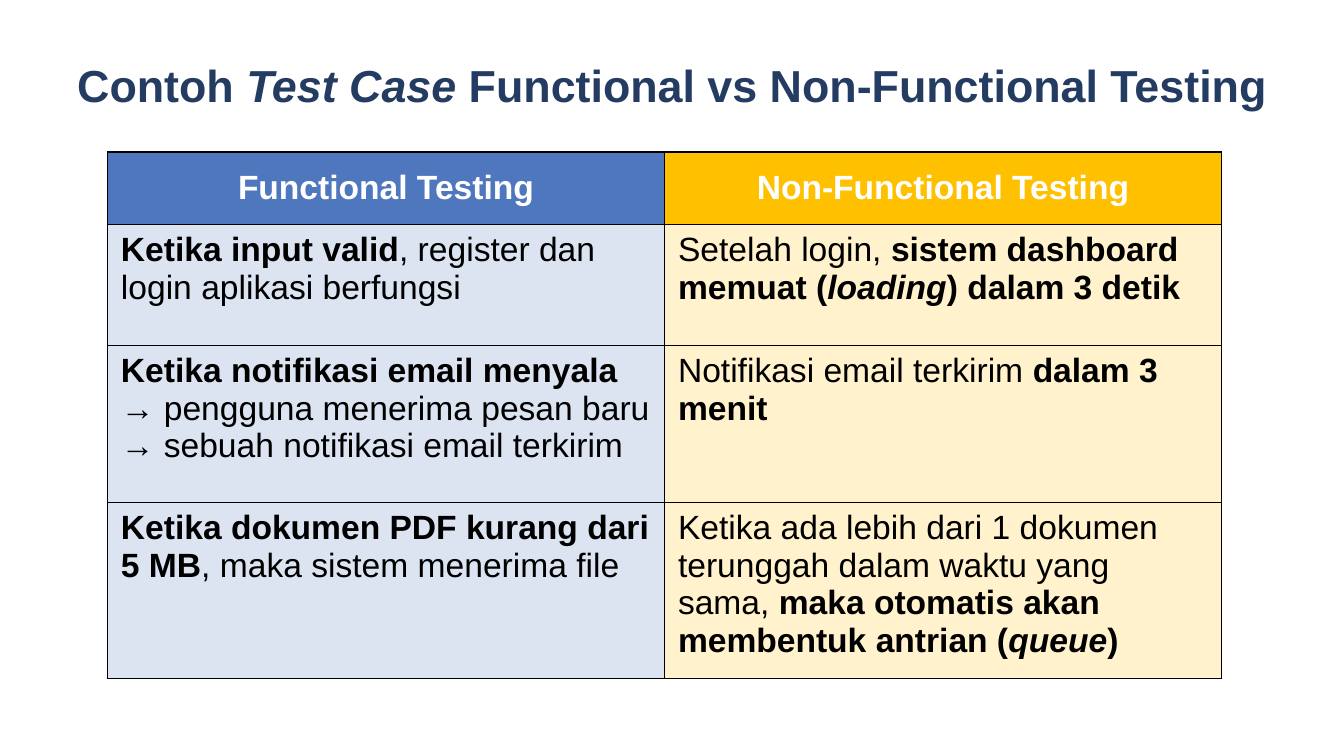
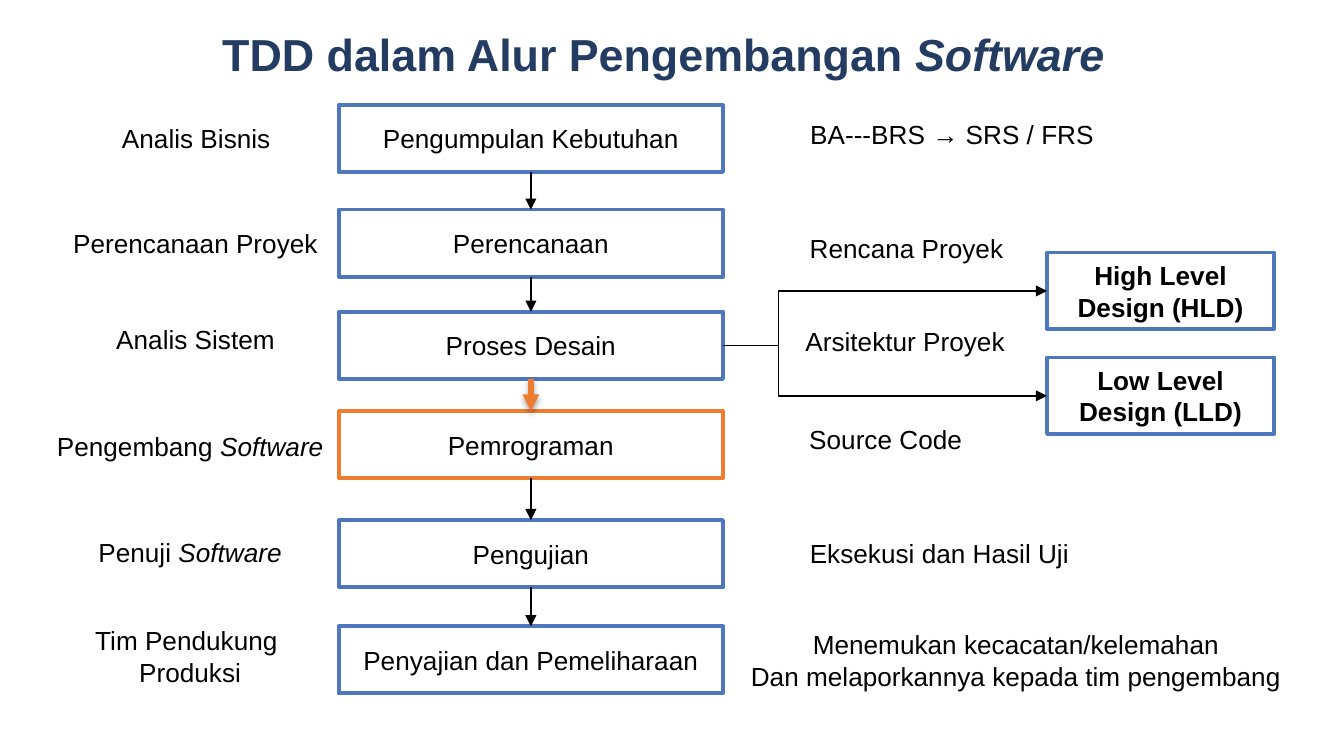
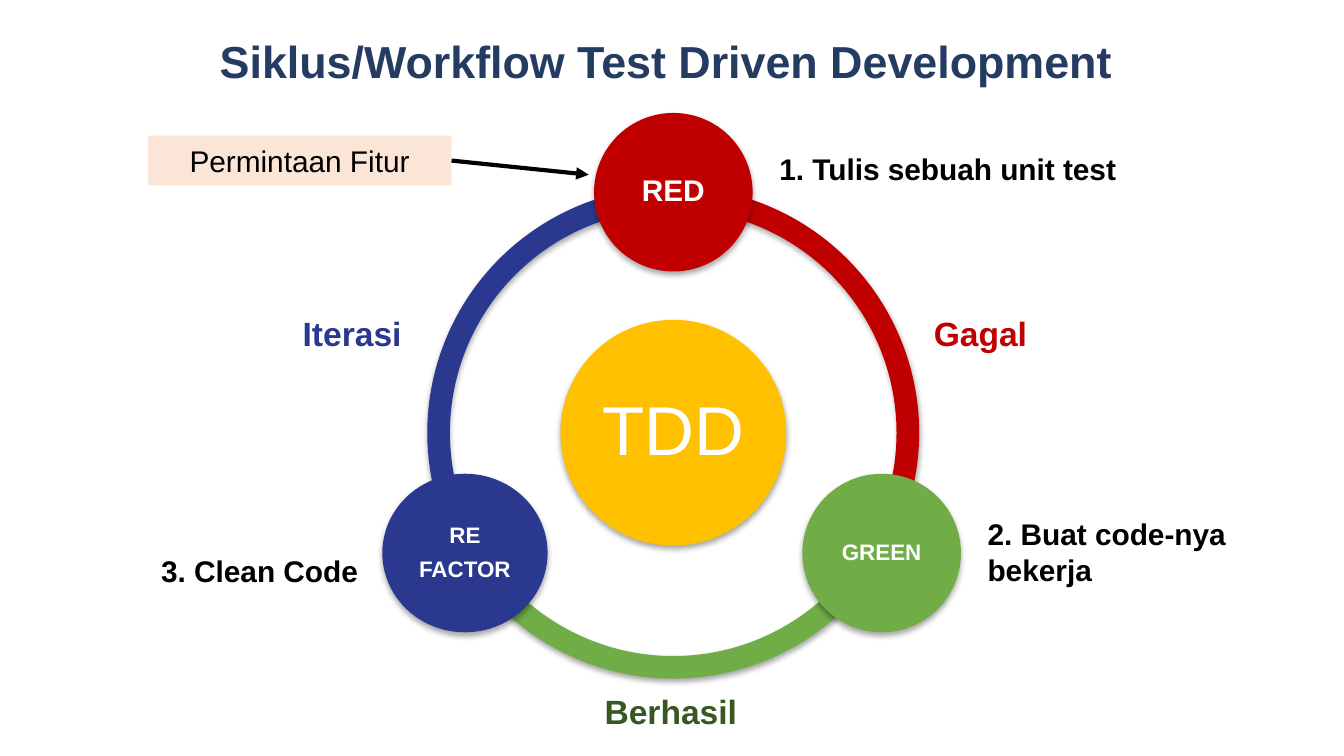
from dataclasses import dataclass
from math import cos, radians, sin

from lxml.etree import SubElement
from pptx import Presentation
from pptx.dml.color import RGBColor
from pptx.enum.shapes import MSO_CONNECTOR, MSO_SHAPE
from pptx.enum.text import MSO_ANCHOR, MSO_AUTO_SIZE, PP_ALIGN
from pptx.oxml.ns import qn
from pptx.util import Pt

EMU_PER_PX = 9144  # 100 px to the inch


@dataclass(frozen=True)
class Theme:
    font: str = "Arial"
    title: str = "243B62"
    black: str = "000000"
    white: str = "FFFFFF"
    blue: str = "4F77BE"
    pale_blue: str = "DCE4F2"
    yellow: str = "FFC000"
    pale_yellow: str = "FFF2CC"
    orange: str = "ED7D31"
    pale_orange: str = "FBE5D6"
    red: str = "C00000"
    green: str = "70AD47"
    dark_green: str = "385723"
    indigo: str = "2B388F"
    title_size: int = 24
    table_size: int = 18
    flow_size: int = 14
    note_size: int = 16
    phase_size: int = 18
    node_size: int = 12
    hub_size: int = 37


THEME = Theme()


@dataclass(frozen=True)
class Box:
    left: int
    top: int
    width: int
    height: int

    def inner(self, left, top, width, height):
        return Box(self.left + left, self.top + top, width, height)

    def emu(self):
        return [px(n) for n in (self.left, self.top, self.width, self.height)]


def px(length):
    return round(length * EMU_PER_PX)


def rgb(color):
    return RGBColor.from_string(color)


# Shared text, shape and line helpers

def write(frame, paragraphs, size, color=THEME.black, bold=False,
          align=PP_ALIGN.CENTER):
    """Fill a frame; a paragraph is a string or a list of (text, "b"/"i"/"bi")."""
    for index, content in enumerate(paragraphs):
        paragraph = frame.add_paragraph() if index else frame.paragraphs[0]
        paragraph.alignment = align
        paragraph.font.name = THEME.font
        paragraph.font.size = Pt(size)
        paragraph.font.bold = bold
        paragraph.font.color.rgb = rgb(color)
        segments = [(content, "")] if isinstance(content, str) else content
        for text, style in segments:
            run = paragraph.add_run()
            run.text = text
            if "b" in style:
                run.font.bold = True
            if "i" in style:
                run.font.italic = True


def add_text(slide, box, paragraphs, size, wrap=False, **style):
    frame = slide.shapes.add_textbox(*box.emu()).text_frame
    frame.word_wrap = wrap
    frame.auto_size = MSO_AUTO_SIZE.SHAPE_TO_FIT_TEXT
    write(frame, paragraphs, size, **style)


def add_title(slide, box, content):
    add_text(slide, box, [content], THEME.title_size, wrap=True,
             color=THEME.title, bold=True)


def add_soft_shadow(properties):
    effects = properties.find(qn("a:effectLst"))
    shadow = SubElement(effects, qn("a:outerShdw"), blurRad="40000",
                        dist="23000", dir="5400000", rotWithShape="0")
    color = SubElement(shadow, qn("a:srgbClr"), val=THEME.black)
    SubElement(color, qn("a:alpha"), val="35000")


def add_filled(shapes, kind, box, fill, line=None, shadow=False):
    shape = shapes.add_shape(kind, *box.emu())
    shape.shadow.inherit = False
    shape.fill.solid()
    shape.fill.fore_color.rgb = rgb(fill)
    if line:
        shape.line.color.rgb = rgb(line)
        shape.line.width = Pt(2)
    else:
        shape.line.fill.background()
    if shadow:
        add_soft_shadow(shape._element.spPr)
    shape.text_frame.word_wrap = True
    shape.text_frame.vertical_anchor = MSO_ANCHOR.MIDDLE
    return shape


def add_arrow(slide, start, start_side, end, end_side=None,
              kind=MSO_CONNECTOR.STRAIGHT, color=THEME.black, width=0.75,
              shadow=False):
    """Join a shape's side to another shape's side, or to a point in px."""
    target = (0, 0) if end_side is not None else [px(n) for n in end]
    arrow = slide.shapes.add_connector(kind, 0, 0, *target)
    arrow.begin_connect(start, start_side)
    if end_side is not None:
        arrow.end_connect(end, end_side)
    arrow.line.color.rgb = rgb(color)
    arrow.line.width = Pt(width)
    properties = arrow._element.spPr
    SubElement(properties.find(qn("a:ln")), qn("a:tailEnd"), type="triangle")
    SubElement(properties, qn("a:effectLst"))
    if shadow:
        add_soft_shadow(properties)
    return arrow


# Slide 1: comparison table

def set_borders(cell):
    properties = cell._tc.get_or_add_tcPr()
    for index, side in enumerate(("lnL", "lnR", "lnT", "lnB")):
        border = SubElement(properties, qn(f"a:{side}"), w="12700")
        fill = SubElement(border, qn("a:solidFill"))
        SubElement(fill, qn("a:srgbClr"), val=THEME.black)
        properties.insert(index, border)


def add_comparison(slide, box, headers, rows, row_heights):
    table = slide.shapes.add_table(len(rows) + 1, 2, *box.emu()).table
    table.horz_banding = False
    for row, height in zip(table.rows, row_heights):
        row.height = px(height)
    header_fills = (THEME.blue, THEME.yellow)
    body_fills = (THEME.pale_blue, THEME.pale_yellow)
    for row_index, contents in enumerate([headers, *rows]):
        is_header = row_index == 0
        for column, paragraphs in enumerate(contents):
            cell = table.cell(row_index, column)
            cell.fill.solid()
            fills = header_fills if is_header else body_fills
            cell.fill.fore_color.rgb = rgb(fills[column])
            set_borders(cell)
            if is_header:
                cell.vertical_anchor = MSO_ANCHOR.MIDDLE
                write(cell.text_frame, paragraphs, THEME.table_size,
                      color=THEME.white, bold=True)
            else:
                write(cell.text_frame, paragraphs, THEME.table_size,
                      align=PP_ALIGN.LEFT)


def build_test_cases(slide):
    add_title(slide, Box(46, 38, 908, 50), [
        ("Contoh ", ""), ("Test Case", "i"),
        (" Functional vs Non-Functional Testing", "")])
    headers = (["Functional Testing"], ["Non-Functional Testing"])
    rows = [
        ([[("Ketika input valid", "b"),
           (", register dan login aplikasi berfungsi", "")]],
         [[("Setelah login, ", ""), ("sistem dashboard memuat (", "b"),
           ("loading", "bi"), (") dalam 3 detik", "b")]]),
        ([[("Ketika notifikasi email menyala", "b")],
          "→ pengguna menerima pesan baru → sebuah notifikasi email terkirim"],
         [[("Notifikasi email terkirim ", ""), ("dalam 3 menit", "b")]]),
        ([[("Ketika dokumen PDF kurang dari 5 MB", "b"),
           (", maka sistem menerima file", "")]],
         [[("Ketika ada lebih dari 1 dokumen terunggah dalam waktu yang sama, ", ""),
           ("maka otomatis akan membentuk antrian (", "b"),
           ("queue", "bi"), (")", "b")]]),
    ]
    add_comparison(slide, Box(80, 113, 829, 392), headers, rows,
                   (54, 90, 117, 131))


# Slide 2: development flow

def add_flow_box(slide, box, text, line=THEME.blue, bold=False):
    shape = add_filled(slide.shapes, MSO_SHAPE.RECTANGLE, box, THEME.white, line)
    write(shape.text_frame, [text], THEME.flow_size, bold=bold)
    return shape


def add_steps(slide, box, steps, highlight):
    """Stack the steps, join them with arrows and return them by name."""
    shapes = {}
    previous = None
    for name, top in steps:
        is_highlight = name == highlight
        shape = add_flow_box(slide, box.inner(0, top, box.width, 50), name,
                             THEME.orange if is_highlight else THEME.blue)
        if previous is not None:
            emphasis = dict(color=THEME.orange, width=3, shadow=True)
            add_arrow(slide, previous, 2, shape, 0,
                      **(emphasis if is_highlight else {}))
        shapes[name] = previous = shape
    return shapes


def add_labels(slide, box, labels):
    for left, top, width, paragraphs in labels:
        height = 11 + 23 * len(paragraphs)
        add_text(slide, box.inner(left, top, width, height), paragraphs,
                 THEME.flow_size)


def add_design_levels(slide, box, source, levels):
    """Branch from the source step to each design level."""
    for index, text in enumerate(levels):
        level = add_flow_box(slide, box.inner(0, 78 * index, box.width, 57),
                             text, bold=True)
        branch = add_arrow(slide, source, 3, level, 1, MSO_CONNECTOR.ELBOW)
        geometry = branch._element.spPr.find(qn("a:prstGeom"))
        guides = geometry.find(qn("a:avLst"))
        if guides is None:
            guides = SubElement(geometry, qn("a:avLst"))
        SubElement(guides, qn("a:gd"), name="adj1", fmla="val 17200")


def build_flow(slide):
    add_title(slide, Box(38, 15, 911, 50),
              [("TDD dalam Alur Pengembangan ", ""), ("Software", "i")])
    steps = add_steps(slide, Box(252, 78, 286, 438), [
        ("Pengumpulan Kebutuhan", 0), ("Perencanaan", 78),
        ("Proses Desain", 154), ("Pemrograman", 228),
        ("Pengujian", 309), ("Penyajian dan Pemeliharaan", 388),
    ], highlight="Pemrograman")
    # Roles on the left
    add_labels(slide, Box(32, 78, 219, 438), [
        (48, 8, 132, ["Analis Bisnis"]),
        (12, 86, 203, ["Perencanaan Proyek"]),
        (44, 158, 139, ["Analis Sistem"]),
        (0, 237, 219, [[("Pengembang ", ""), ("Software", "i")]]),
        (31, 316, 157, [[("Penuji ", ""), ("Software", "i")]]),
        (28, 382, 163, ["Tim Pendukung ", "Produksi"]),
    ])
    # Deliverables on the right
    add_labels(slide, Box(548, 78, 416, 438), [
        (44, 5, 233, ["BA---BRS → SRS / FRS"]),
        (44, 90, 165, ["Rencana Proyek"]),
        (41, 159, 169, ["Arsitektur Proyek"]),
        (44, 232, 134, ["Source Code"]),
        (44, 317, 214, ["Eksekusi dan Hasil Uji"]),
        (0, 385, 416, ["Menemukan kecacatan/kelemahan",
                       "Dan melaporkannya kepada tim pengembang"]),
    ])
    add_design_levels(slide, Box(779, 188, 169, 135), steps["Proses Desain"],
                      ["High Level Design (HLD)", "Low Level Design (LLD)"])


# Slide 3: test driven development cycle

def add_disc(shapes, center, size, fill, lines, text_size, margin, bold=True):
    width, height = size
    box = Box(center[0] - width / 2, center[1] - height / 2, width, height)
    disc = add_filled(shapes, MSO_SHAPE.OVAL, box, fill, shadow=True)
    frame = disc.text_frame
    frame.margin_left = frame.margin_right = px(margin)
    frame.margin_top = frame.margin_bottom = px(margin)
    write(frame, lines, text_size, color=THEME.white, bold=bold)
    for paragraph in frame.paragraphs:
        paragraph.line_spacing = 0.9
        paragraph.space_after = Pt(round(text_size * 0.4))


def add_cycle(slide, box):
    shapes = slide.shapes.add_group_shape().shapes
    center = (box.left + box.width / 2, box.top + box.height / 2)
    # Ring of three equal arcs
    for start, color in ((150, THEME.indigo), (30, THEME.green), (270, THEME.red)):
        arc = add_filled(shapes, MSO_SHAPE.BLOCK_ARC, box, color, shadow=True)
        end = (start + 120) % 360
        # Angles are counted in 60000ths of a degree, adjustments in 100000ths
        for index, value in enumerate((start * 0.6, end * 0.6, 0.046)):
            arc.adjustments[index] = value
    # Hub and stages
    add_disc(shapes, center, (168, 168), THEME.yellow, ["TDD"],
             THEME.hub_size, 5, bold=False)
    orbit = 179
    for angle, width, color, lines, size in (
            (270, 118, THEME.red, ["RED"], THEME.note_size),
            (30, 118, THEME.green, ["GREEN"], THEME.node_size),
            (150, 123, THEME.indigo, ["RE", "FACTOR"], THEME.node_size)):
        stage = (center[0] + orbit * cos(radians(angle)),
                 center[1] + orbit * sin(radians(angle)))
        add_disc(shapes, stage, (width, 118), color, lines, size, 2)


def add_feature_request(slide, box):
    request = add_filled(slide.shapes, MSO_SHAPE.RECTANGLE, box,
                         THEME.pale_orange)
    write(request.text_frame, ["Permintaan Fitur"], THEME.note_size)
    arrow_end = (box.left + box.width + 102, box.top + 29)
    add_arrow(slide, request, 3, arrow_end, width=2.25)


def build_cycle(slide):
    add_title(slide, Box(61, 20, 878, 50),
              "Siklus/Workflow Test Driven Development ")
    add_cycle(slide, Box(318, 139, 366, 366))
    # Instructions beside the stages
    for box, lines, wrap in (
            (Box(570, 107, 319, 37), ["1. Tulis sebuah unit test"], True),
            (Box(725, 379, 206, 64), ["2. Buat code-nya", "bekerja"], False),
            (Box(110, 406, 182, 37), ["3. Clean Code"], True)):
        add_text(slide, box, lines, THEME.note_size, wrap, bold=True,
                 align=PP_ALIGN.LEFT)
    add_feature_request(slide, Box(110, 101, 226, 37))
    # Outcomes beside the arcs
    for box, text, color, align in (
            (Box(685, 228, 90, 40), "Gagal", THEME.red, PP_ALIGN.LEFT),
            (Box(440, 509, 120, 40), "Berhasil", THEME.dark_green, PP_ALIGN.LEFT),
            (Box(208, 228, 108, 40), "Iterasi", THEME.indigo, PP_ALIGN.CENTER)):
        add_text(slide, box, [text], THEME.phase_size, color=color, bold=True,
                 align=align)


def main():
    presentation = Presentation()
    presentation.slide_width = px(1000)
    presentation.slide_height = px(1000) * 9 // 16
    blank = presentation.slide_layouts[6]
    for build in (build_test_cases, build_flow, build_cycle):
        build(presentation.slides.add_slide(blank))
    presentation.save("out.pptx")


if __name__ == "__main__":
    main()
